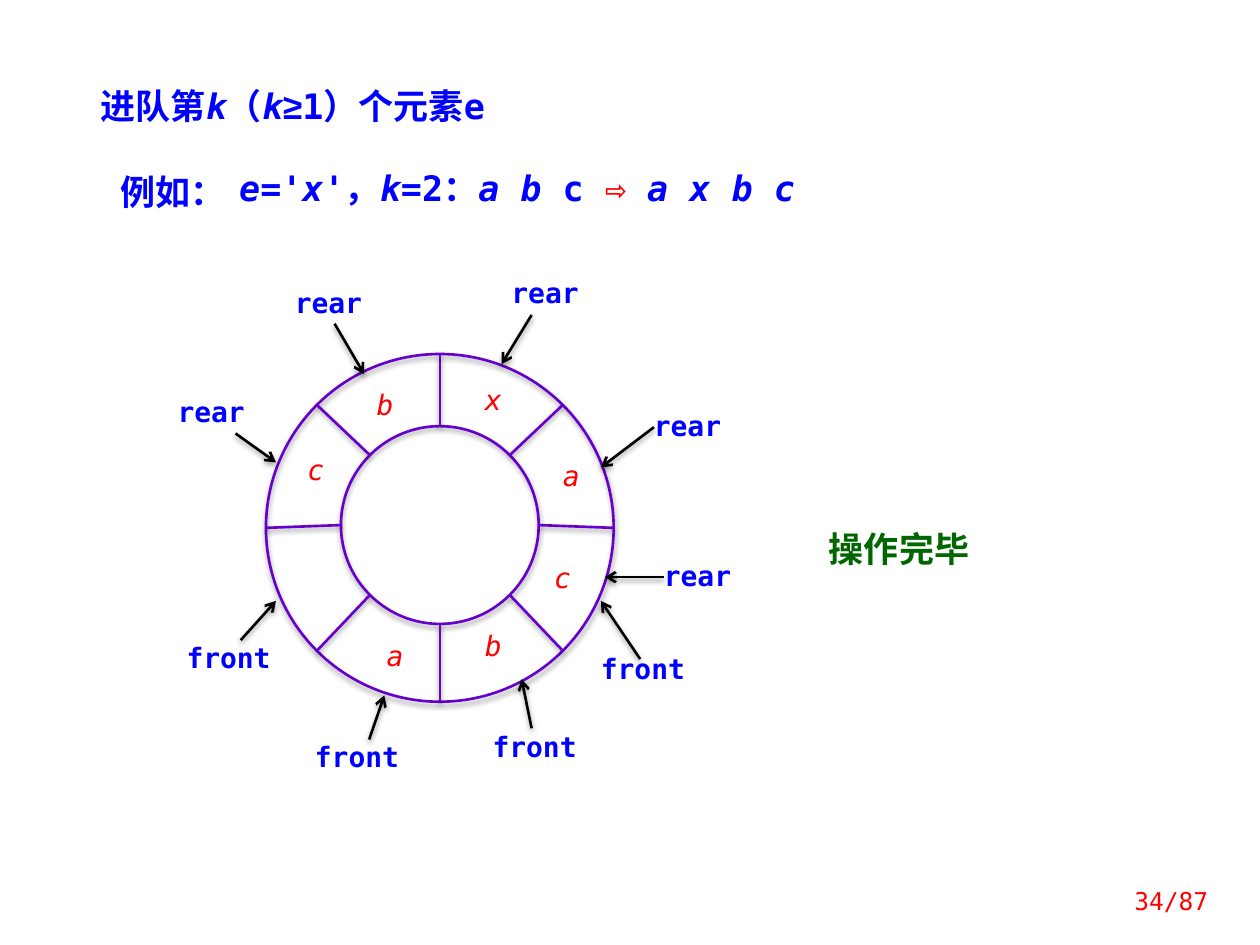
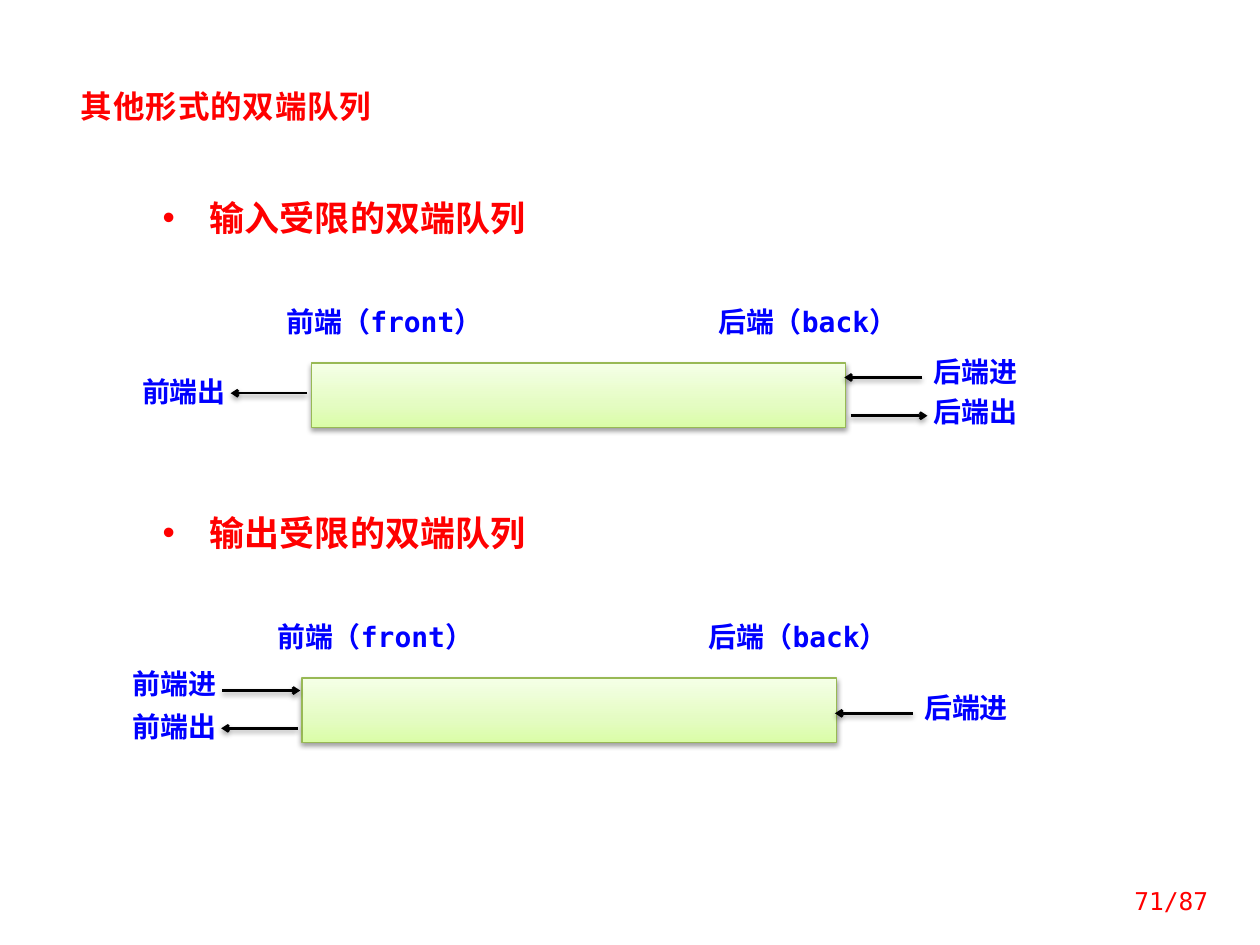
from dataclasses import dataclass
from math import cos, pi, sin

from pptx import Presentation
from pptx.dml.color import RGBColor
from pptx.enum.shapes import MSO_CONNECTOR, MSO_SHAPE
from pptx.enum.text import MSO_ANCHOR, MSO_AUTO_SIZE, PP_ALIGN
from pptx.oxml import parse_xml
from pptx.oxml.ns import nsdecls
from pptx.util import Pt


@dataclass(frozen=True)
class Theme:
    blue: str = "0000FF"
    red: str = "FF0000"
    green: str = "006600"
    black: str = "000000"
    white: str = "FFFFFF"
    ring: str = "6600CC"
    queue_edge: str = "98B955"
    queue_fill: tuple = ((0, "DAFDA7"), (35, "E4FCC2"), (100, "F5FFE7"))
    font: str = "DejaVu Sans Mono"
    symbol_font: str = "Arial"
    heading: int = 20
    title: int = 18
    label: int = 16
    footer: int = 14
    stroke: float = 1.5
    leading: int = 28


THEME = Theme()
TOP, LEFT, BOTTOM, RIGHT = range(4)
LABEL_HEIGHT = 21.6


def rgb(value):
    return RGBColor.from_string(value)


def xml(markup):
    tag, rest = markup.split(" ", 1)
    return parse_xml(f"{tag} {nsdecls('a')} {rest}")


def style_run(run, size, color, bold=False, italic=False, font=THEME.font):
    run.font.name = font
    run.font.size = Pt(size)
    run.font.bold = bold
    run.font.italic = italic
    run.font.color.rgb = rgb(color)


def cast_shadow(properties):
    properties.append(xml(
        '<a:effectLst ><a:outerShdw blurRad="39370" dist="20320" dir="5400000" rotWithShape="0">'
        '<a:srgbClr val="000000"><a:alpha val="38000"/></a:srgbClr></a:outerShdw></a:effectLst>'))


def add_text(slide, box, text, size, color, bold=True, italic=False):
    area = slide.shapes.add_textbox(*map(Pt, box))
    frame = area.text_frame
    frame.word_wrap = True
    frame.auto_size = MSO_AUTO_SIZE.SHAPE_TO_FIT_TEXT
    frame.text = text
    style_run(frame.paragraphs[0].runs[0], size, color, bold, italic)
    return area


def add_formula(slide, box, parts):
    area = add_text(slide, box, parts[0][0], THEME.heading, THEME.blue, **parts[0][1])
    for text, changes in parts[1:]:
        run = area.text_frame.paragraphs[0].add_run()
        run.text = text
        style_run(run, THEME.heading, **{"color": THEME.blue, "bold": True, **changes})


def add_panel(slide, box, text, size, color, align, margins=(0, 0, 0, 0)):
    panel = slide.shapes.add_shape(MSO_SHAPE.RECTANGLE, *map(Pt, box))
    panel.shadow.inherit = False
    panel.fill.solid()
    panel.fill.fore_color.rgb = rgb(THEME.white)
    panel.line.fill.background()
    frame = panel.text_frame
    frame.margin_left, frame.margin_top, frame.margin_right, frame.margin_bottom = map(Pt, margins)
    frame.vertical_anchor = MSO_ANCHOR.TOP
    frame.text = text
    frame.paragraphs[0].alignment = align
    style_run(frame.paragraphs[0].runs[0], size, color, bold=True)
    return panel


def add_label(slide, box, text, align=PP_ALIGN.CENTER):
    return add_panel(slide, box, text, THEME.label, THEME.blue, align)


def add_line(slide, start, end, color, head=None):
    line = slide.shapes.add_connector(MSO_CONNECTOR.STRAIGHT, *map(Pt, (*start, *end)))
    line.line.color.rgb = rgb(color)
    line.line.width = Pt(THEME.stroke)
    if head:
        line.line._get_or_add_ln().append(
            xml(f'<a:tailEnd type="arrow" w="{head}" len="{head}"/>'))
    cast_shadow(line._element.spPr)
    return line


def add_page_number(slide, page):
    number = add_text(slide, (624.2, 500.4, 73.4, 28.8), f"{page}/87",
                      THEME.footer, THEME.red, bold=False)
    number.text_frame.auto_size = MSO_AUTO_SIZE.NONE
    number.text_frame.vertical_anchor = MSO_ANCHOR.MIDDLE
    number.text_frame.paragraphs[0].alignment = PP_ALIGN.RIGHT


def draw_ring(slide, left, top, size):
    outer, inner = size / 2, 56.5
    center_x, center_y = left + outer, top + outer
    hub_y = center_y - 1.6
    for radius, middle in ((inner, hub_y), (outer, center_y)):
        circle = slide.shapes.add_shape(
            MSO_SHAPE.OVAL, Pt(center_x - radius), Pt(middle - radius), Pt(2 * radius), Pt(2 * radius))
        circle.fill.background()
        circle.line.color.rgb = rgb(THEME.ring)
        circle.line.width = Pt(THEME.stroke)
        cast_shadow(circle._element.spPr)
    for step in range(8):
        dx, dy = cos(step * pi / 4), sin(step * pi / 4)
        add_line(slide, (center_x + inner * dx, hub_y + inner * dy),
                 (center_x + outer * dx, center_y + outer * dy), THEME.ring)


def draw_elements(slide, left, top):
    elements = (("c", 157.6, 114.5), ("b", 118, 153.4), ("a", 61.8, 159.1), ("a", 162.6, 56.2),
                ("x", 118, 13), ("b", 56.1, 15.9), ("c", 16.5, 52.6))
    for element, x, y in elements:
        add_text(slide, (left + x, top + y, 28.1, 26.6), element,
                 THEME.label, THEME.red, bold=False, italic=True)


def draw_pointers(slide, left, top):
    widths = {"front": 61.9, "rear": 45.4}
    pointers = (
        ("front", (-45.4, 163.5), TOP, (5.7, 141.1)),
        ("rear", (227.4, 116.7), LEFT, (193.6, 127.5)),
        ("rear", (221.7, 31), LEFT, (191.4, 64.8)),
        ("rear", (140.3, -44.6), (151.8, -22.3), (134.6, 5.8)),
        ("rear", (16.5, -38.9), BOTTOM, (56.1, 11.5)),
        ("front", (28, 220.3), TOP, (67.6, 195.1)),
        ("front", (129.5, 214.6), (151.8, 213.9), (146.1, 185.8)),
        ("front", (191.4, 169.9), (213.8, 174.3), (191.4, 141.1)),
        ("rear", (-50.5, 23.1), (-17.4, 45.4), (5.7, 61.9)),
    )
    for name, (x, y), start, (tip_x, tip_y) in pointers:
        label = add_label(slide, (left + x, top + y, widths[name], LABEL_HEIGHT), name, PP_ALIGN.LEFT)
        joined = isinstance(start, int)
        start_x, start_y = (x, y) if joined else start
        arrow = add_line(slide, (left + start_x, top + start_y),
                         (left + tip_x, top + tip_y), THEME.black, "med")
        if joined:
            arrow.begin_connect(label, start)


def build_enqueue_slide(slide):
    italic = {"italic": True}
    add_formula(slide, (50.4, 44.6, 258.5, 31.7), (
        ("进队第", {}), ("k", italic), ("（", {}), ("k", italic),
        ("≥", {"font": THEME.symbol_font}), ("1）个元素e", {})))
    example = add_text(slide, (61.9, 90, 67.7, 35.3), "例如：", THEME.heading, THEME.blue)
    example.text_frame.paragraphs[0].line_spacing = Pt(THEME.leading)
    add_formula(slide, (129.6, 91.4, 421.9, 31.7), (
        ("e", italic), ("='", {}), ("x", italic), ("'，", {}), ("k", italic), ("=2：", {}),
        ("a b ", italic), ("c ", {}), ("⇨ ", {"color": THEME.red}), ("a x b c", italic)))
    left, top = 152, 202.3
    draw_ring(slide, left, top, 198.7)
    draw_elements(slide, left, top)
    draw_pointers(slide, left, top)
    add_text(slide, (466.6, 298.1, 101.5, 31.7), "操作完毕", THEME.heading, THEME.green)


def draw_heading(slide, left, top, text):
    heading = add_panel(slide, (left, top, 253.4, 36), text, THEME.heading, THEME.red,
                        PP_ALIGN.LEFT, (14.4, 5.76, 7.2, 5.76))
    heading.text_frame.auto_size = MSO_AUTO_SIZE.SHAPE_TO_FIT_TEXT
    properties = heading.text_frame.paragraphs[0]._p.get_or_add_pPr()
    properties.set("marL", str(Pt(27)))
    properties.set("indent", str(Pt(-27)))
    properties.append(xml(f'<a:buFont typeface="{THEME.symbol_font}"/>'))
    properties.append(xml('<a:buChar char="•"/>'))


def draw_port(slide, left, top, text, label_y, arrow_y):
    at_front, entering = text.startswith("前"), text.endswith("进")
    label_x = -99.5 if at_front else 352.8
    label = add_label(slide, (left + label_x, top + label_y, 53.3, LABEL_HEIGHT), text)
    if at_front:
        near, far = (-1, -45.5) if entering else (-2.5, -46.2)
    else:
        near, far = (304.5, 349) if entering else (308, 352)
    start, end = (far, near) if entering else (near, far)
    arrow = add_line(slide, (left + start, top + arrow_y), (left + end, top + arrow_y),
                     THEME.black, "sm")
    if at_front and not entering:
        arrow.end_connect(label, RIGHT)


def draw_deque(slide, left, top, ports):
    add_label(slide, (left - 22.4, top - 33.2, 128.2, 26.6), "前端（front）")
    add_label(slide, (left + 218, top - 33.2, 131, 26.6), "后端（back）")
    queue = slide.shapes.add_shape(
        MSO_SHAPE.RECTANGLE, Pt(left), Pt(top), Pt(305.3), Pt(36.7))
    queue.fill.gradient()
    queue.line.color.rgb = rgb(THEME.queue_edge)
    queue.line.width = Pt(0.75)
    stops = "".join(f'<a:gs pos="{place * 1000}"><a:srgbClr val="{color}"/></a:gs>'
                    for place, color in THEME.queue_fill)
    properties = queue._element.spPr
    properties.replace(properties.gradFill, xml(
        f'<a:gradFill rotWithShape="1"><a:gsLst>{stops}</a:gsLst>'
        '<a:lin ang="16200000" scaled="0"/></a:gradFill>'))
    cast_shadow(properties)
    for port in ports:
        draw_port(slide, left, top, *port)


def build_deque_slide(slide):
    title = add_text(slide, (16.6, 39.6, 225.4, 33.1), "其他形式的双端队列", THEME.title, THEME.red)
    paragraph = title.text_frame.paragraphs[0]
    paragraph.alignment = PP_ALIGN.CENTER
    paragraph.line_spacing = Pt(THEME.leading)
    paragraph.runs[0]._r.get_or_add_rPr().set("spc", "50")
    deques = (
        ("输入受限的双端队列", 178,
         (("前端出", 6.5, 17.3), ("后端进", -5, 8.3), ("后端出", 18, 30.2))),
        ("输出受限的双端队列", 172.6,
         (("前端进", -6.5, 7.2), ("前端出", 18, 28.8), ("后端进", 7.2, 20.2))),
    )
    for row, (heading, left, ports) in enumerate(deques):
        top = 106.6 + 180 * row
        draw_heading(slide, 78.5, top, heading)
        draw_deque(slide, left, top + 100.8, ports)


def main():
    deck = Presentation()
    deck.slide_width, deck.slide_height = Pt(720), Pt(540)
    for build, page in ((build_enqueue_slide, 34), (build_deque_slide, 71)):
        slide = deck.slides.add_slide(deck.slide_layouts[6])
        build(slide)
        add_page_number(slide, page)
    deck.save("out.pptx")


if __name__ == "__main__":
    main()
